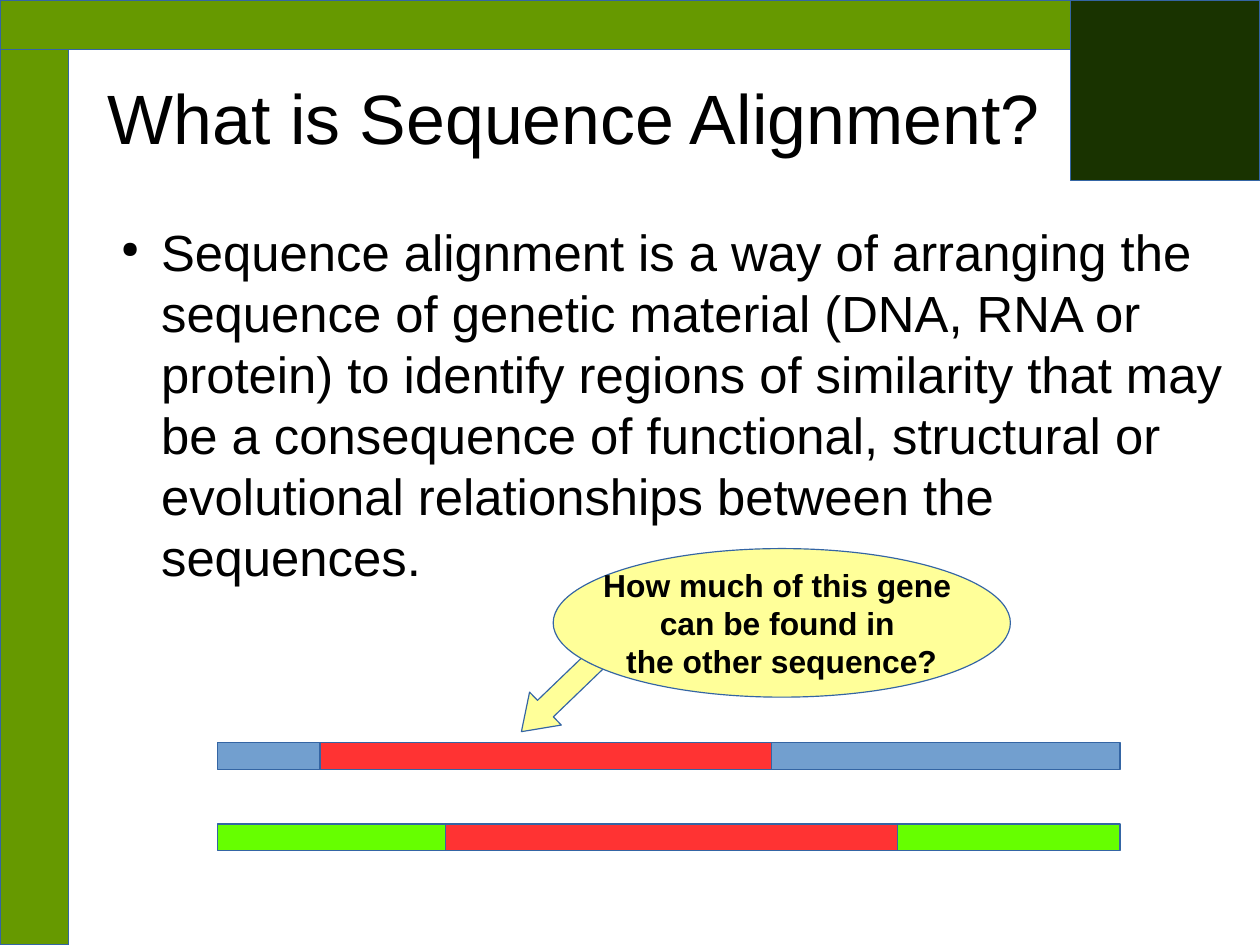
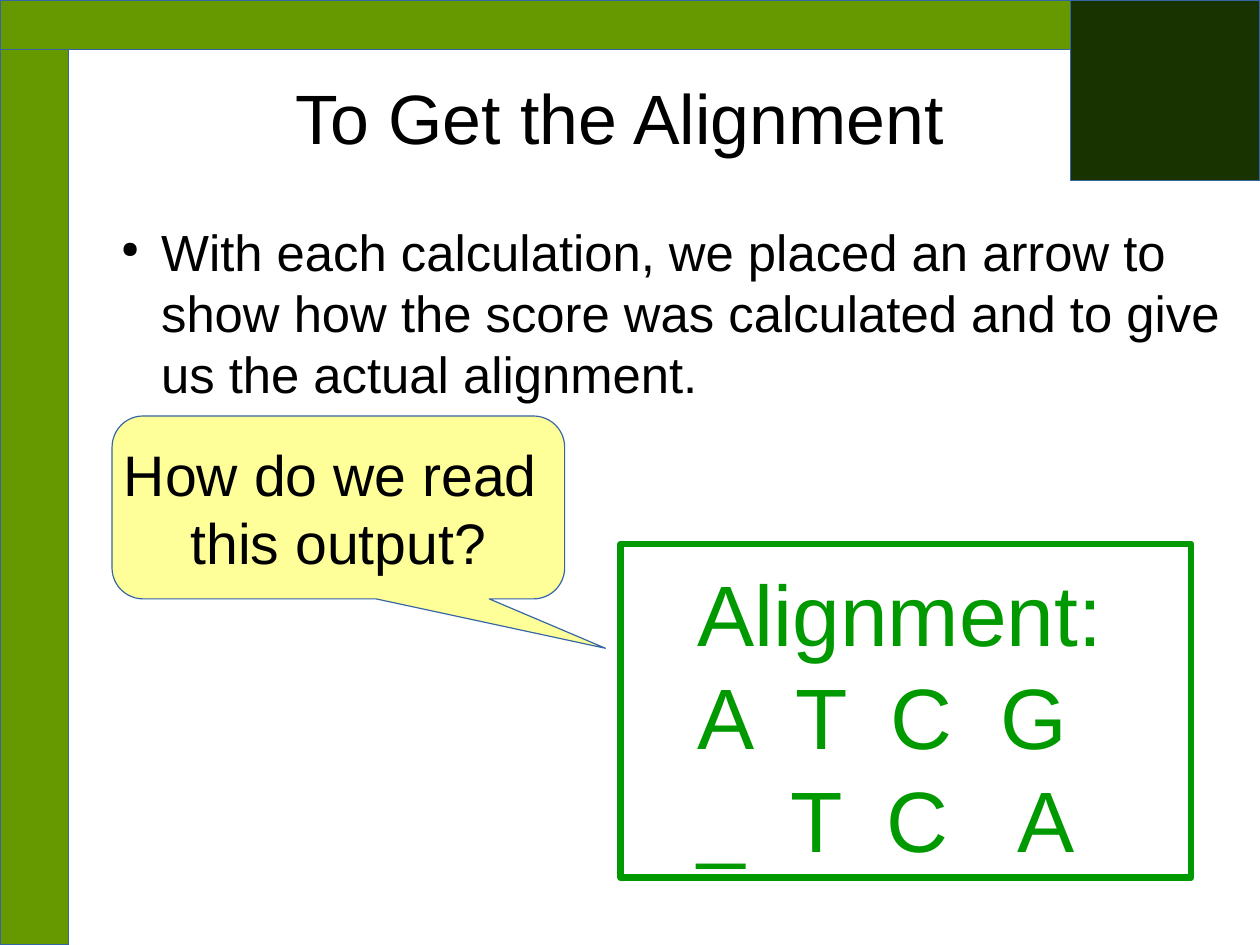
import lxml.etree
import pptx
import pptx.dml.color
import pptx.enum.shapes
import pptx.enum.text
import pptx.oxml.ns
import pptx.util

Pt = pptx.util.Pt
SHAPE = pptx.enum.shapes.MSO_SHAPE
ALIGN = pptx.enum.text.PP_ALIGN
ANCHOR = pptx.enum.text.MSO_ANCHOR
rgb = pptx.dml.color.RGBColor.from_string
qn = pptx.oxml.ns.qn

WIDTH, HEIGHT = 793.7, 595.3
FONT = "Arial"
INK, OUTLINE = "000000", "3465A4"
BAND, CORNER = "669900", "193300"
NOTE, MATCH = "FFFF99", "FF3333"
OUTPUT = "009900"


def add_box(slide, kind, frame, fill=None, line=OUTLINE, weight=0):
    box = slide.shapes.add_shape(kind, *[Pt(v) for v in frame])
    box.shadow.inherit = False
    if fill:
        box.fill.solid()
        box.fill.fore_color.rgb = rgb(fill)
    else:
        box.fill.background()
    box.line.color.rgb = rgb(line)
    box.line.width = Pt(weight)
    return box


def write(box, lines, size, color=INK, align=ALIGN.CENTER, anchor=ANCHOR.MIDDLE,
          insets=(7.2, 3.6, 7.2, 3.6), wrap=False, bold=False, bullet=None, tabs=()):
    frame = box.text_frame
    frame.word_wrap = wrap
    frame.vertical_anchor = anchor
    frame.margin_left, frame.margin_top, frame.margin_right, frame.margin_bottom = [Pt(v) for v in insets]
    for index, line in enumerate(lines):
        paragraph = frame.paragraphs[0] if index == 0 else frame.add_paragraph()
        paragraph.text = line
        paragraph.alignment = align
        properties = paragraph._p.get_or_add_pPr()
        if bullet:
            properties.set("marL", str(Pt(33.8)))
            properties.set("indent", str(Pt(-25.2)))
            bullet_color = lxml.etree.SubElement(properties, qn("a:buClr"))
            lxml.etree.SubElement(bullet_color, qn("a:srgbClr"), val=color)
            lxml.etree.SubElement(properties, qn("a:buSzPct"), val="45000")
            lxml.etree.SubElement(properties, qn("a:buChar"), char=bullet)
        if index < len(tabs) and tabs[index]:
            stops = lxml.etree.SubElement(properties, qn("a:tabLst"))
            for stop in tabs[index]:
                lxml.etree.SubElement(stops, qn("a:tab"), pos=str(Pt(stop)), algn="l")
        paragraph.font.name = FONT
        paragraph.font.size = Pt(size)
        paragraph.font.bold = bold
        paragraph.font.color.rgb = rgb(color)


presentation = pptx.Presentation()
presentation.slide_width = Pt(WIDTH)
presentation.slide_height = Pt(HEIGHT)

contents = [
    ("What is Sequence Alignment?", 615.6,
     "Sequence alignment is a way of arranging the sequence of genetic material "
     "(DNA, RNA or protein) to identify regions of similarity that may be a consequence "
     "of functional, structural or evolutional relationships between the sequences."),
    ("To Get the Alignment", 673.2,
     "With each calculation, we placed an arrow to show how the score was calculated "
     "and to give us the actual alignment."),
]
bands = [
    ((0, 0, 43.2, HEIGHT), BAND),
    ((0, 0, WIDTH, 31), BAND),
    ((674.6, 0, WIDTH - 674.6, 113.8), CORNER),
]

slides = []
for heading, heading_width, statement in contents:
    slide = presentation.slides.add_slide(presentation.slide_layouts[6])
    slides.append(slide)
    title = slide.shapes.add_textbox(Pt(54), Pt(24), Pt(heading_width), Pt(99.4))
    write(title, [heading], 44, insets=(0, 0, 0, 0), wrap=True)
    body = slide.shapes.add_textbox(Pt(67.7), Pt(139), Pt(714.2), Pt(344.9))
    write(body, [statement], 32, align=ALIGN.LEFT, anchor=ANCHOR.TOP,
          insets=(0, 0, 0, 0), wrap=True, bullet="●")
    for frame, color in bands:
        add_box(slide, SHAPE.RECTANGLE, frame, color)

definition, reading = slides

for top, color, match_left in [(468, "729FCF", 201.6), (519.1, "66FF00", 280.8)]:
    add_box(definition, SHAPE.RECTANGLE, (136.8, top, 568.8, 16.6), color)
    add_box(definition, SHAPE.RECTANGLE, (match_left, top, 284.4, 16.6), MATCH)

pointer = add_box(definition, SHAPE.LEFT_ARROW, (316.8, 417.6, 83.5, 28.8), NOTE)
pointer.adjustments[0] = 0.5
pointer.adjustments[1] = 0.73
pointer.rotation = 316.1
gene_question = add_box(definition, SHAPE.OVAL, (348.5, 345.6, 288, 93.6), NOTE)
write(gene_question, ["How much of this gene ", "can be found in ", "the other sequence?"], 20, bold=True)

alignment = add_box(reading, SHAPE.RECTANGLE, (391, 342.7, 359.3, 210.2), line=OUTPUT, weight=4.31)
write(alignment, ["Alignment:", "A\tT\tC\tG", "_\tT\tC\tA"], 54, OUTPUT, ALIGN.LEFT, ANCHOR.TOP,
      insets=(48.2, 10.8, 0, 0), wrap=True, tabs=[(), (62, 122, 191), (59, 119, 202)])

output_question = add_box(reading, SHAPE.ROUNDED_RECTANGULAR_CALLOUT, (70.6, 262.1, 285.1, 115.2), NOTE)
for index, value in enumerate((0.59, 0.77, 0.17)):
    output_question.adjustments[index] = value
write(output_question, ["How do we read ", "this output?"], 36)

presentation.save("out.pptx")
